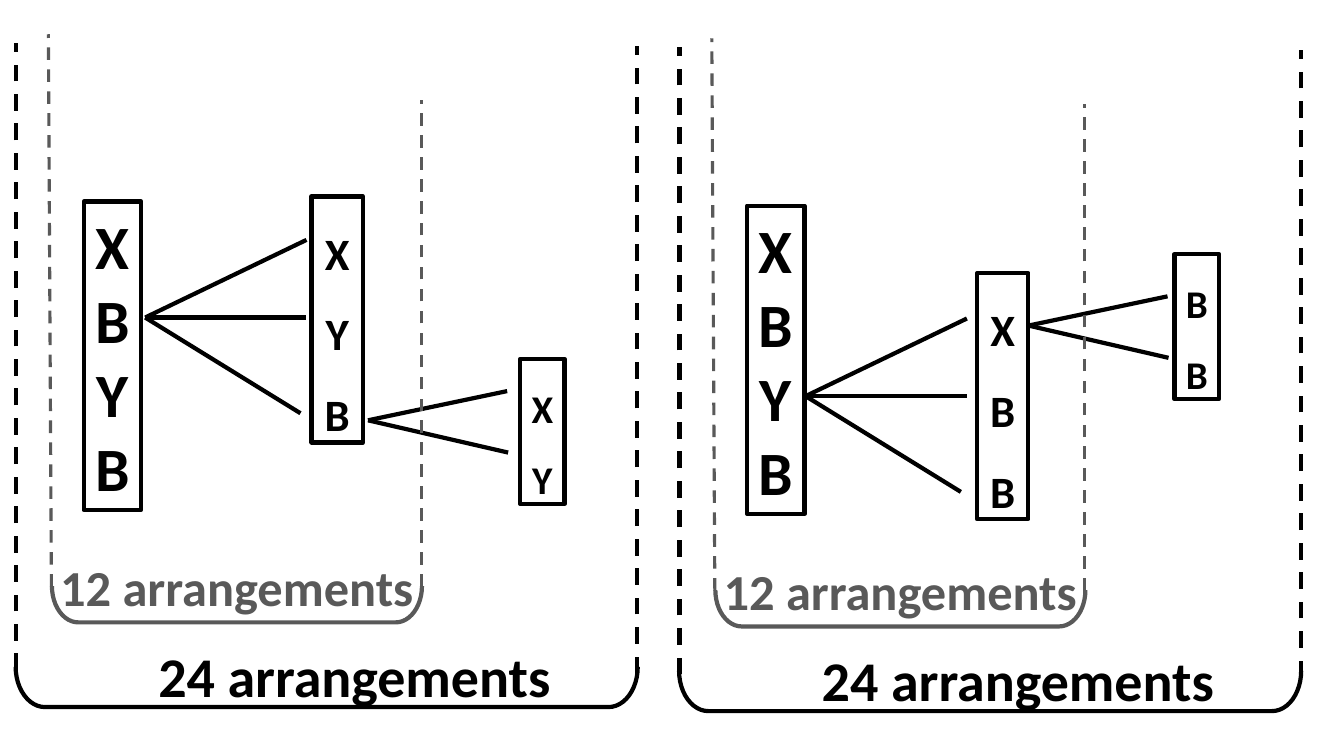
import pptx
import pptx.util
import pptx.dml.color
import pptx.enum.dml
import pptx.enum.shapes
import pptx.enum.text
import pptx.oxml.ns
from dataclasses import dataclass
from lxml import etree

Inches = pptx.util.Inches
SHAPES = pptx.enum.shapes.MSO_SHAPE


@dataclass(frozen=True)
class Theme:
    font: str = "Calibri"
    black: str = "000000"
    grey: str = "595959"
    heavy: float = 3
    light: float = 2.25
    first_letter: int = 44
    second_letter: int = 32
    third_letter: int = 28
    inner_label: int = 36
    outer_label: int = 40


class Diagram:
    """Draws the elements of one slide in one theme."""

    def __init__(self, slide, theme):
        self.shapes = slide.shapes
        self.theme = theme

    def stroke(self, line, color, width):
        line.color.rgb = pptx.dml.color.RGBColor.from_string(color)
        line.width = pptx.util.Pt(width)

    def set_words(self, frame, paragraphs, size, color, spacing=None):
        frame.word_wrap = True
        frame.auto_size = pptx.enum.text.MSO_AUTO_SIZE.SHAPE_TO_FIT_TEXT
        style = {"name": self.theme.font, "size": pptx.util.Pt(size), "bold": True}
        for index, words in enumerate(paragraphs):
            paragraph = frame.add_paragraph() if index else frame.paragraphs[0]
            paragraph.alignment = pptx.enum.text.PP_ALIGN.CENTER
            if spacing:
                paragraph.line_spacing = spacing
            run = paragraph.add_run()
            run.text = words
            for key, value in style.items():
                setattr(run.font, key, value)
            run.font.color.rgb = pptx.dml.color.RGBColor.from_string(color)

    def outline(self, kind, place, color):
        shape = self.shapes.add_shape(kind, *map(Inches, place))
        shape.shadow.inherit = False
        shape.fill.background()
        self.stroke(shape.line, color, self.theme.heavy)
        return shape

    def letters(self, place, paragraphs, size, spacing=None):
        column = self.outline(SHAPES.RECTANGLE, place, self.theme.black)
        column.text_frame.vertical_anchor = pptx.enum.text.MSO_ANCHOR.MIDDLE
        self.set_words(column.text_frame, paragraphs, size, self.theme.black, spacing)

    def bracket(self, place, color):
        bracket = self.outline(SHAPES.RIGHT_BRACKET, place, color)
        bracket.rotation = 90
        bracket.adjustments[0] = 0.725

    def label(self, place, words, size, color):
        box = self.shapes.add_textbox(*map(Inches, place))
        self.set_words(box.text_frame, [words], size, color)

    def line(self, start, end, color, width, dashed=False):
        line = self.shapes.add_connector(
            pptx.enum.shapes.MSO_CONNECTOR.STRAIGHT, *map(Inches, (*start, *end)))
        self.stroke(line.line, color, width)
        if dashed:
            line.line.dash_style = pptx.enum.dml.MSO_LINE.DASH
        etree.SubElement(line._element.spPr, pptx.oxml.ns.qn("a:effectLst"))

    def fan(self, origin, reaches):
        x, y = origin
        for dx, dy in reaches:
            self.line(origin, (x + dx, y + dy), self.theme.black, self.theme.heavy)


theme = Theme()
deck = pptx.Presentation()
deck.slide_width, deck.slide_height = Inches(13.33), Inches(7.5)
diagram = Diagram(deck.slides.add_slide(deck.slide_layouts[6]), theme)

# Where each panel starts, and how its tree branches
PANELS = [
    {"shift": (0, 0),
     "second": ((3.09, 1.95), ["X", "Y B"]), "third": ((5.16, 3.56), ["X", "Y"]),
     "first_fork": (1.44, 3.15), "second_fork": (3.65, 4.17)},
    {"shift": (6.58, 0.04),
     "second": ((9.69, 2.71), ["X", "B B"]), "third": ((11.65, 2.52), ["B", "B"]),
     "first_fork": (7.99, 3.93), "second_fork": (10.2, 3.23)},
]
THREE_WAYS = [(1.6, -0.77), (1.6, 0), (1.54, 0.95)]
TWO_WAYS = [(1.38, -0.29), (1.39, 0.32)]

# Dashed sides: bottom point, top point, colour, width
SIDES = [
    ((0.51, 5.82), (0.48, 0.34), theme.grey, theme.light),
    ((4.18, 5.82), (4.18, 0.99), theme.grey, theme.light),
    ((0.16, 6.65), (0.16, 0.43), theme.black, theme.heavy),
    ((6.32, 6.68), (6.32, 0.46), theme.black, theme.heavy),
]

for panel in PANELS:
    shift_x, shift_y = panel["shift"]

    def shifted(x, y, *size):
        return (x + shift_x, y + shift_y, *size)

    # Letter columns
    diagram.letters(shifted(0.83, 2, 0.57, 3.06), ["X B Y B"], theme.first_letter)
    corner, choices = panel["second"]
    diagram.letters((*corner, 0.51, 2.44), choices, theme.second_letter, 1.5)
    corner, choices = panel["third"]
    diagram.letters((*corner, 0.44, 1.44), choices, theme.third_letter, 1.5)

    # Branches
    diagram.fan(panel["first_fork"], THREE_WAYS)
    diagram.fan(panel["second_fork"], TWO_WAYS)

    # Brackets and their counts
    diagram.bracket(shifted(3.04, 3.73, 0.4, 6.17), theme.black)
    diagram.bracket(shifted(2.17, 4.16, 0.36, 3.67), theme.grey)
    diagram.label(shifted(0.42, 5.47, 3.86, 0.71), "12 arrangements",
                  theme.inner_label, theme.grey)
    diagram.label(shifted(1.26, 6.32, 4.51, 0.77), "24 arrangements",
                  theme.outer_label, theme.black)

    # Dashed sides above the brackets
    for bottom, top, color, width in SIDES:
        diagram.line(shifted(*bottom), shifted(*top), color, width, dashed=True)

deck.save("out.pptx")
